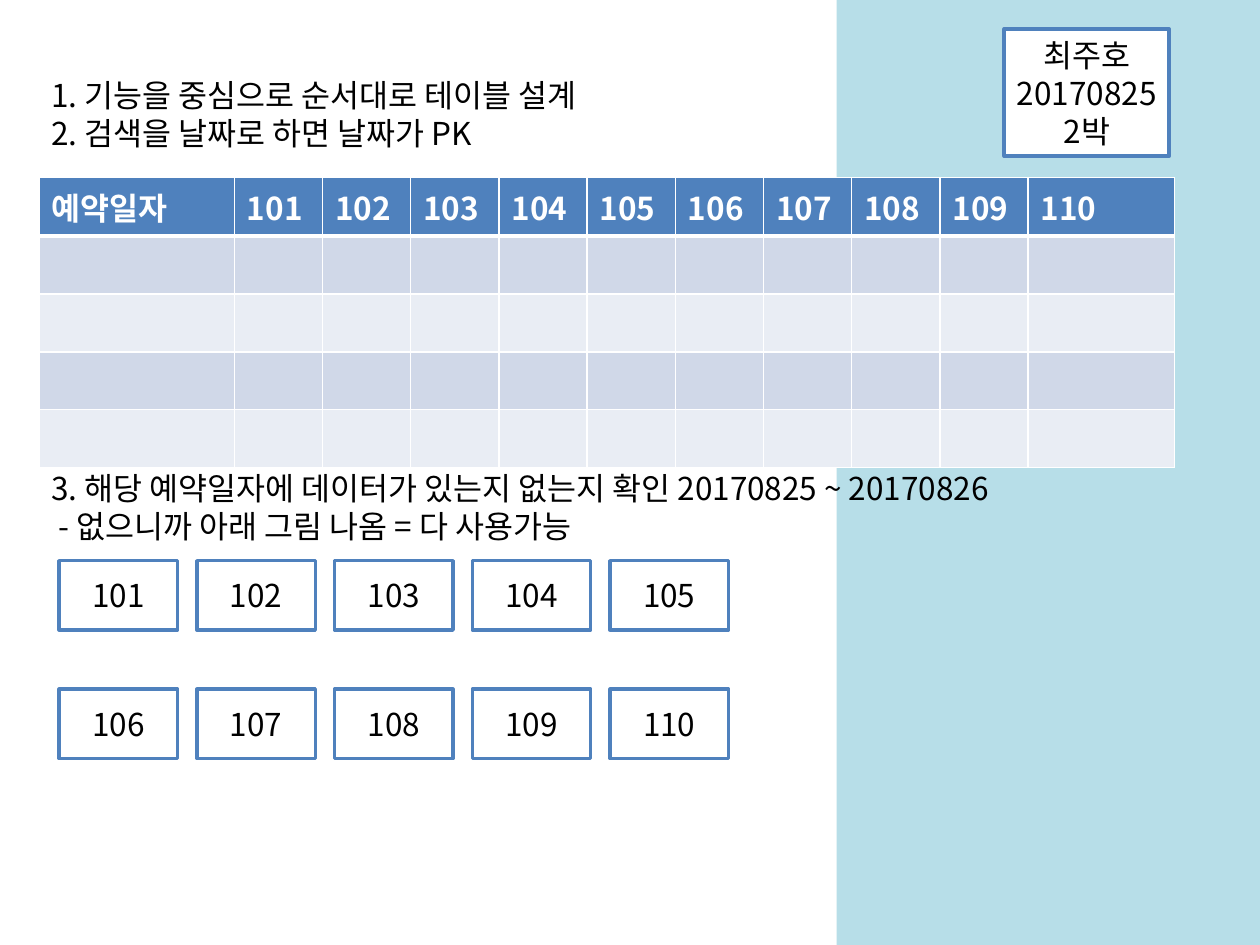
"""Builds a slide on the design of a room reservation table."""
from pptx import Presentation
from pptx.dml.color import RGBColor
from pptx.enum import shapes, text
from pptx.oxml import ns, xmlchemy
from pptx.util import Inches, Pt

FONT = "Noto Sans CJK KR"
BLACK = RGBColor(0x00, 0x00, 0x00)
WHITE = RGBColor(0xFF, 0xFF, 0xFF)
BLUE = RGBColor(0x4F, 0x81, 0xBD)
AQUA = RGBColor(0xB7, 0xDE, 0xE8)
BANDS = [RGBColor(0xD0, 0xD8, 0xE8), RGBColor(0xE9, 0xED, 0xF4)]


def write(frame, lines, color=BLACK, bold=False, align=text.PP_ALIGN.LEFT, spacing=None):
    for index, line in enumerate(lines):
        paragraph = frame.paragraphs[0] if index == 0 else frame.add_paragraph()
        paragraph.alignment = align
        paragraph.line_spacing = spacing
        run = paragraph.add_run()
        run.text = line
        run.font.name = FONT
        run.font.size = Pt(18)
        run.font.bold = bold
        run.font.color.rgb = color
        east_asian = xmlchemy.OxmlElement("a:ea")
        east_asian.set("typeface", FONT)
        run.font._element.find(ns.qn("a:latin")).addnext(east_asian)


def add_box(left, top, width, height, fill, line=None):
    box = slide.shapes.add_shape(
        shapes.MSO_SHAPE.RECTANGLE, Inches(left), Inches(top), Inches(width), Inches(height))
    box.shadow.inherit = False
    box.fill.solid()
    box.fill.fore_color.rgb = fill
    if line is None:
        box.line.fill.background()
    else:
        box.line.color.rgb = line
        box.line.width = Pt(2)
    return box


prs = Presentation()
prs.slide_width, prs.slide_height = Inches(10), Inches(7.5)
slide = prs.slides.add_slide(prs.slide_layouts[6])
rooms = [str(number) for number in range(101, 111)]

add_box(6.64, 0, 3.44, 7.5, AQUA)

headings = ["예약일자"] + rooms
widths = [1.55] + [0.7] * 9 + [1.16]
reservations = slide.shapes.add_table(
    5, len(headings), Inches(0.31), Inches(1.41), Inches(sum(widths)), Inches(2.3)).table
for column, width in zip(reservations.columns, widths):
    column.width = Inches(width)
for row_index, row in enumerate(reservations.rows):
    row.height = Inches(0.46)
    for column_index, cell in enumerate(row.cells):
        cell.fill.solid()
        cell.fill.fore_color.rgb = BANDS[(row_index - 1) % 2] if row_index else BLUE
        if row_index == 0:
            write(cell.text_frame, [headings[column_index]], color=WHITE, bold=True)
        top_weight = 3 if row_index == 1 else 1
        bottom_weight = 3 if row_index == 0 else 1
        edges = [("a:lnL", 1), ("a:lnR", 1), ("a:lnT", top_weight), ("a:lnB", bottom_weight)]
        for position, (edge, weight) in enumerate(edges):
            border = xmlchemy.OxmlElement(edge)
            border.set("w", str(Pt(weight)))
            paint = xmlchemy.OxmlElement("a:solidFill")
            border_color = xmlchemy.OxmlElement("a:srgbClr")
            border_color.set("val", str(WHITE))
            paint.append(border_color)
            border.append(paint)
            cell._tc.get_or_add_tcPr().insert(position, border)

notes = [
    (0.55, 4.88, ["1. 기능을 중심으로 순서대로 테이블 설계", "2. 검색을 날짜로 하면 날짜가 PK"]),
    (3.67, 8.39, ["3. 해당 예약일자에 데이터가 있는지 없는지 확인 20170825 ~ 20170826",
                  " - 없으니까 아래 그림 나옴 = 다 사용가능"]),
]
for top, width, lines in notes:
    note = slide.shapes.add_textbox(Inches(0.31), Inches(top), Inches(width), Inches(0.71))
    note.text_frame.word_wrap = True
    write(note.text_frame, lines, spacing=Pt(21.7))

guest = add_box(7.97, 0.23, 1.31, 1.01, WHITE, BLUE)
guest.text_frame.word_wrap = False
write(guest.text_frame, ["최주호", "20170825", "2박"],
      align=text.PP_ALIGN.CENTER, spacing=Pt(21.7))

for index, room in enumerate(rooms):
    row_index, column_index = divmod(index, 5)
    room_box = add_box(0.47 + 1.093 * column_index, 4.45 + 1.02 * row_index,
                       0.94, 0.55, WHITE, BLUE)
    room_box.text_frame.vertical_anchor = text.MSO_ANCHOR.MIDDLE
    write(room_box.text_frame, [room], align=text.PP_ALIGN.CENTER)

prs.save("out.pptx")
